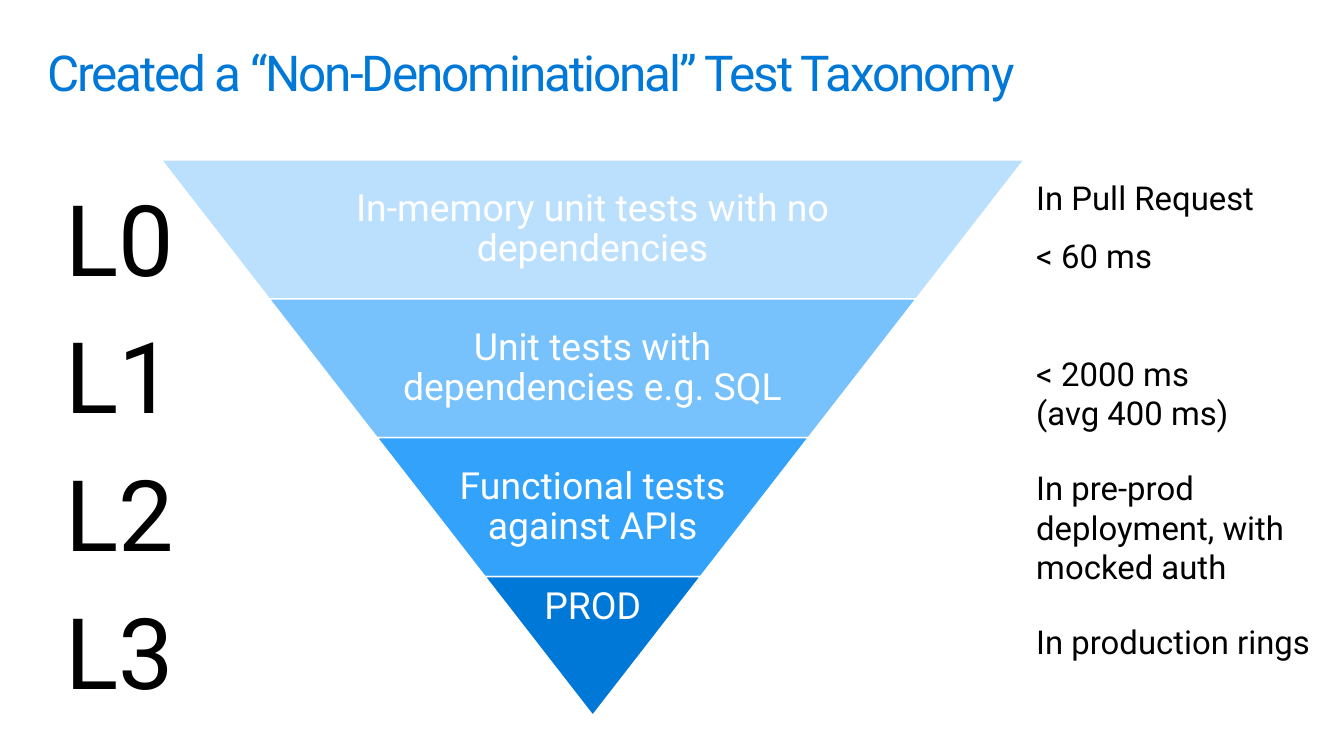
from dataclasses import dataclass

from lxml import etree
from pptx import Presentation
from pptx import util as u
from pptx.dml.color import RGBColor
from pptx.enum import shapes as es, text as et
from pptx.oxml.ns import qn

Pt = u.Pt


@dataclass(frozen=True)
class Theme:
    font: str = "Roboto"
    blue: str = "0078D7"
    black: str = "000000"
    white: str = "FFFFFF"
    title: float = 26.5
    level: float = 52.9
    note: float = 17.6
    tier: float = 20
    edge: float = 0.85
    after: float = 10.3


@dataclass(frozen=True)
class Box:
    left: float
    top: float
    width: float
    height: float

    def args(self) -> list:
        return [Pt(v) for v in (self.left, self.top, self.width, self.height)]


@dataclass(frozen=True)
class Line:
    text: str
    before: float = 0


@dataclass(frozen=True)
class Tier:
    text: str
    fill: str
    share: float = 0.65  # caption width as part of the tier width
    side: float = 2.2
    foot: float = 2.2


THEME = Theme()
TIERS = [
    Tier("In-memory unit tests with no dependencies", "BBE0FE", side=0),
    Tier("Unit tests with dependencies e.g. SQL", "77C1FC"),
    Tier("Functional tests against APIs", "33A2FB"),
    Tier("PROD", THEME.blue, share=1, foot=43.2),
]
LEVELS = [Line(f"L{n}") for n in range(len(TIERS))]
NOTES = [
    Line("In Pull Request"),
    Line("< 60 ms"),
    Line("< 2000 ms\n(avg 400 ms)", 31.5),
    Line("In pre-prod deployment, with mocked auth", 8.8),
    Line("In production rings", 8.8),
]
FUNNEL = Box(86.4, 85.7, 462.24, 297.6)


def apply(obj, form: dict) -> None:
    for key, val in form.items():
        setattr(obj, key, val)


def frame(shape, pad: tuple, anchor=et.MSO_ANCHOR.TOP):
    """Set insets (left, top, right, bottom), wrap and anchor."""
    left, top, right, foot = map(Pt, pad)
    body = shape.text_frame
    apply(body, dict(
        margin_left=left, margin_top=top, margin_right=right, margin_bottom=foot,
        word_wrap=True, auto_size=et.MSO_AUTO_SIZE.NONE, vertical_anchor=anchor))
    return body


def write(par, words: str, size: float, color: str, form: dict) -> None:
    par.text = words
    apply(par, form)
    for run in par.runs:
        apply(run.font, dict(name=THEME.font, size=Pt(size)))
        run.font.color.rgb = RGBColor.from_string(color)
    # Line breaks need the size of the text around them
    for brk in par._p.findall(qn("a:br")):
        etree.SubElement(brk, qn("a:rPr"), sz=str(round(size * 100)))


def place(shape, box: Box) -> None:
    apply(shape, dict(zip(("left", "top", "width", "height"), box.args())))


def column(shape, box: Box, lines: list[Line], size: float) -> None:
    """Fill a body placeholder with a list without bullets."""
    place(shape, box)
    body = frame(shape, (0, 0, 0, 0))
    for num, line in enumerate(lines):
        par = body.add_paragraph() if num else body.paragraphs[0]
        props = par._p.get_or_add_pPr()
        apply_xml = dict(marL="0", indent="0")
        for key, val in apply_xml.items():
            props.set(key, val)
        etree.SubElement(props, qn("a:buNone"))
        write(par, line.text, size, THEME.black, dict(
            space_before=Pt(line.before), space_after=Pt(THEME.after)))


def heading(shape, box: Box, words: str) -> None:
    place(shape, box)
    par = frame(shape, (0, 13, 0, 0)).paragraphs[0]
    write(par, words, THEME.title, THEME.blue,
          dict(alignment=et.PP_ALIGN.LEFT, line_spacing=0.9))
    par.runs[0].font._element.set("spc", "-110")


def funnel(slide, box: Box, tiers: list[Tier]) -> None:
    """Stack upturned trapezoids that narrow evenly to a point."""
    group = slide.shapes.add_group_shape().shapes
    high = box.height / len(tiers)
    step = box.width / len(tiers) / 2
    for num, tier in enumerate(tiers):
        top = box.top + num * high
        wide = box.width - 2 * num * step
        band = group.add_shape(
            es.MSO_SHAPE.TRAPEZOID,
            *Box(box.left + num * step, top, wide, high).args())
        band.rotation = 180
        band.adjustments[0] = step / high
        band.shadow.inherit = False
        band.fill.solid()
        band.fill.fore_color.rgb = RGBColor.from_string(tier.fill)
        band.line.color.rgb = RGBColor.from_string(THEME.white)
        band.line.width = Pt(THEME.edge)
        # Upright caption, centred on the band
        span = wide * tier.share
        label = group.add_textbox(
            *Box(box.left + (box.width - span) / 2, top, span, high).args())
        body = frame(label, (tier.side, 2.2, tier.side, tier.foot),
                     et.MSO_ANCHOR.MIDDLE)
        write(body.paragraphs[0], tier.text, THEME.tier, THEME.white,
              dict(alignment=et.PP_ALIGN.CENTER, line_spacing=0.9))


def main() -> None:
    deck = Presentation()
    apply(deck, dict(slide_width=Pt(720), slide_height=Pt(405)))
    slide = deck.slides.add_slide(deck.slide_layouts[3])
    title, left, right = slide.placeholders

    # Title and level names
    heading(title, Box(25.2, 13, 669.6, 44),
            "Created a “Non-Denominational” Test Taxonomy")
    column(left, Box(35.3, 95, 89.3, 286.6), LEVELS, THEME.level)

    # Test tiers and when they run
    funnel(slide, FUNNEL, TIERS)
    column(right, Box(555.1, 95, 149.8, 261.4), NOTES, THEME.note)

    deck.save("out.pptx")


if __name__ == "__main__":
    main()
